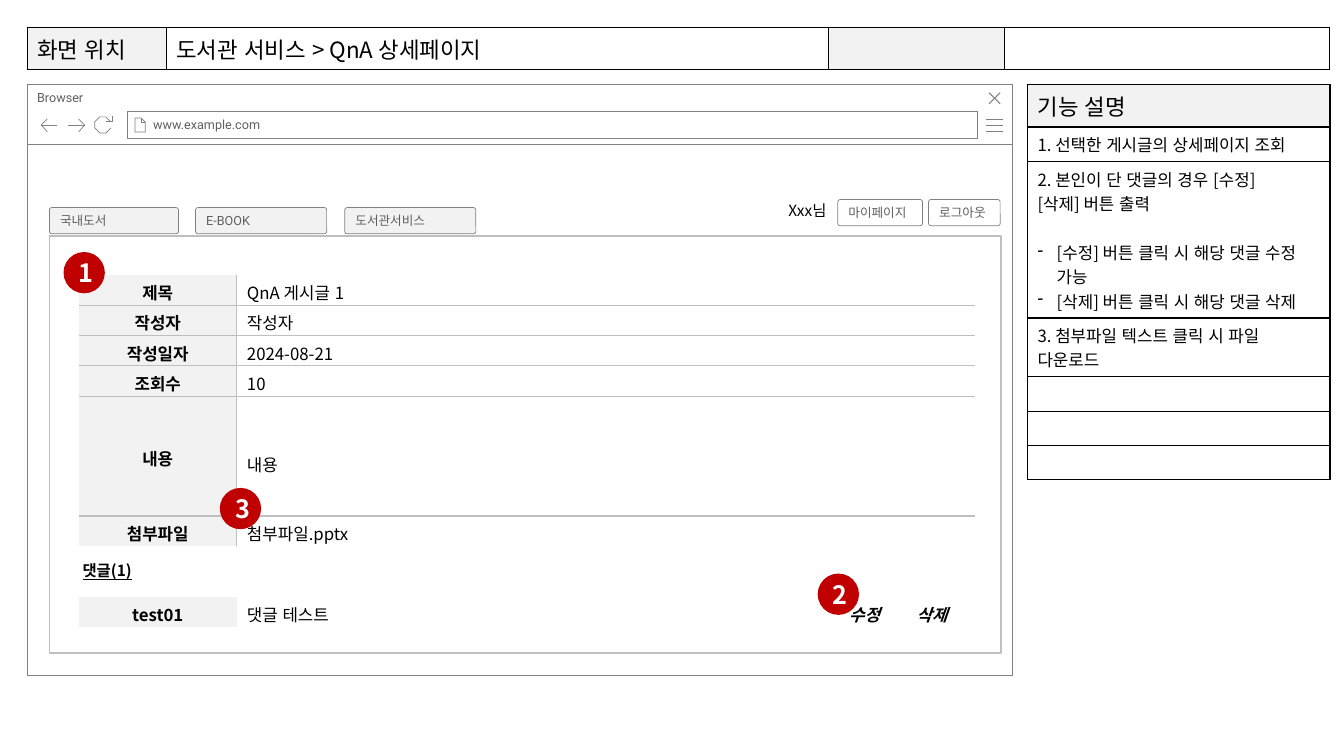
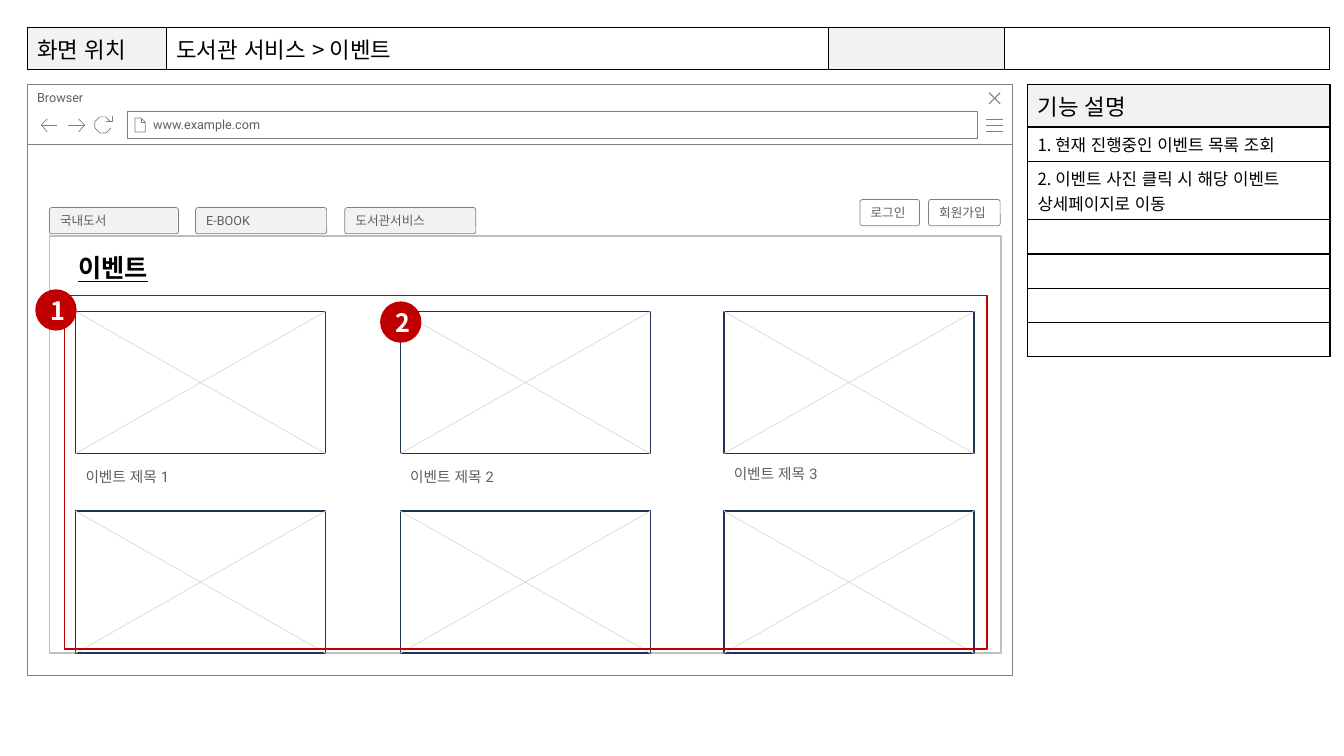
from dataclasses import dataclass, field
from math import cos, radians, sin

from lxml.etree import SubElement
from pptx import Presentation
from pptx.dml.color import RGBColor
from pptx.enum.lang import MSO_LANGUAGE_ID
from pptx.enum.shapes import MSO_CONNECTOR, MSO_SHAPE
from pptx.enum.text import MSO_ANCHOR, PP_ALIGN
from pptx.oxml.ns import qn
from pptx.util import Emu, Pt

SCALE = 9144  # EMU in one px


@dataclass(frozen=True)
class Theme:
    white: str = "FFFFFF"
    black: str = "000000"
    pale: str = "F2F2F2"
    chrome: str = "808080"
    label: str = "5F5F5F"
    border: str = "BFBFBF"
    cross: str = "D9D9D9"
    navy: str = "1E3256"
    red: str = "C00000"
    korean: str = "Noto Sans CJK KR"
    latin: str = "Roboto"
    text: dict = field(default_factory=lambda: {
        "heading": dict(size=16),
        "body": dict(size=12),
        "strong": dict(size=12, bold=True),
        "action": dict(size=12, bold=True, italic=True),
        "note": dict(size=11),
        "count": dict(size=11, bold=True, underline=True),
        "title": dict(size=18, bold=True, underline=True),
        "badge": dict(size=18, bold=True, color="FFFFFF"),
        "ui": dict(size=9, color="5F5F5F", name="Roboto"),
        "caption": dict(size=10.5, color="5F5F5F", name="Roboto"),
    })


THEME = Theme()


def px(*lengths):
    return [Emu(length * SCALE) for length in lengths]


def rgb(value):
    return RGBColor.from_string(value)


# Text

def write(frame, text, style, align=PP_ALIGN.LEFT, spacing=None):
    """Fill a frame, one paragraph a line; a leading "- " makes a bullet."""
    look = {"name": THEME.korean, "color": THEME.black, **THEME.text[style]}
    formats = {key: value for key, value in look.items() if key != "color"}
    formats.update(size=Pt(look["size"]), language_id=MSO_LANGUAGE_ID.KOREAN)
    bulleted = False
    for number, line in enumerate(text.split("\n")):
        para = frame.add_paragraph() if number else frame.paragraphs[0]
        para.alignment = align
        para.text = line.removeprefix("- ")
        if spacing:
            para.line_spacing = spacing
        if line.startswith("- "):
            props = para._p.get_or_add_pPr()
            props.set("marL", str(19 * SCALE))
            props.set("indent", str(-19 * SCALE))
            SubElement(props, qn("a:buChar"), char="-")
            if not bulleted:
                para.space_before = Pt(17.5)
            bulleted = True
        for span in para.runs:
            for name, value in formats.items():
                setattr(span.font, name, value)
            span.font.color.rgb = rgb(look["color"])
            SubElement(span._r.get_or_add_rPr(), qn("a:ea"), typeface=THEME.korean)
        if not line:
            SubElement(para._p, qn("a:endParaRPr"), sz=str(look["size"] * 100))


def add_text(page, box, text, style, wrap=True):
    frame = page.shapes.add_textbox(*px(*box)).text_frame
    frame.word_wrap = wrap
    write(frame, text, style, spacing=0.85)


# Shapes

def paint(shape, fill=None, line=None, weight=0.5):
    shape.shadow.inherit = False
    if fill:
        shape.fill.solid()
        shape.fill.fore_color.rgb = rgb(fill)
    else:
        shape.fill.background()
    if line:
        shape.line.color.rgb = rgb(line)
        shape.line.width = Pt(weight)
    else:
        shape.line.fill.background()


def add_box(page, box, fill=None, line=None, weight=0.5, kind=MSO_SHAPE.RECTANGLE):
    shape = page.shapes.add_shape(kind, *px(*box))
    paint(shape, fill, line, weight)
    return shape


def add_label(shape, text, style, anchor=MSO_ANCHOR.MIDDLE, align=PP_ALIGN.LEFT, **margins):
    frame = shape.text_frame
    frame.word_wrap = True
    frame.vertical_anchor = anchor
    for side, margin in margins.items():
        setattr(frame, f"margin_{side}", Emu(margin * SCALE))
    write(frame, text, style, align)


def add_icon(page, origin, strokes, weight=0.5):
    """Draw open strokes whose points are relative to the origin."""
    left, top = origin
    strokes = [[(left + x, top + y) for x, y in stroke] for stroke in strokes]
    pen = page.shapes.build_freeform(*strokes[0][0], scale=SCALE)
    for number, stroke in enumerate(strokes):
        if number:
            pen.move_to(*stroke[0])
        pen.add_line_segments(stroke[1:], close=False)
    paint(pen.convert_to_shape(), line=THEME.chrome, weight=weight)


def add_line(page, start, end, color):
    line = page.shapes.add_connector(MSO_CONNECTOR.STRAIGHT, *px(*start, *end))
    line.line.color.rgb = rgb(color)
    line.line.width = Pt(0.5)
    SubElement(line._element.spPr, qn("a:effectLst"))


def add_badge(page, left, top, number):
    badge = add_box(page, (left, top, 41, 41), THEME.red, kind=MSO_SHAPE.OVAL)
    add_label(badge, str(number), "badge", align=PP_ALIGN.CENTER,
              left=4, right=0, top=0, bottom=0)


# Tables

def set_borders(cell, colors):
    """Give the left, right, top and bottom border a colour or none."""
    props = cell._tc.get_or_add_tcPr()
    for side, color in zip("LRTB", colors):
        border = SubElement(props, qn(f"a:ln{side}"), w=str(Pt(1)))
        if color:
            solid = SubElement(border, qn("a:solidFill"))
            SubElement(solid, qn("a:srgbClr"), val=color)
        else:
            SubElement(border, qn("a:noFill"))


def add_grid(page, origin, widths, heights, rows, outer=None, inner=None, compact=False):
    """Add a table; each cell is (text, style, fill)."""
    size = sum(widths), sum(heights)
    table = page.shapes.add_table(len(rows), len(widths), *px(*origin, *size)).table
    table.first_row = table.horz_banding = False
    for column, width in zip(table.columns, px(*widths)):
        column.width = width
    for row, height in zip(table.rows, px(*heights)):
        row.height = height
    last_row, last_column = len(rows) - 1, len(widths) - 1
    for r, row in enumerate(rows):
        for c, (text, style, fill) in enumerate(row):
            cell = table.cell(r, c)
            edges = (c == 0, c == last_column, r == 0, r == last_row)
            set_borders(cell, [outer if edge else inner for edge in edges])
            if fill:
                cell.fill.solid()
                cell.fill.fore_color.rgb = rgb(fill)
            else:
                cell.fill.background()
            if compact:
                cell.vertical_anchor = MSO_ANCHOR.MIDDLE
                cell.margin_top, cell.margin_bottom = px(5, 1)
            centred = compact and fill
            write(cell.text_frame, text, style,
                  PP_ALIGN.CENTER if centred else PP_ALIGN.LEFT)
    return table


# Regions shared by every page

def add_location(page, origin, place):
    cells = [("화면 위치", "heading", THEME.pale), (place, "heading", None),
             ("", "heading", THEME.pale), ("", "heading", None)]
    add_grid(page, origin, (138, 657, 174, 323), (42,), [cells], THEME.black, THEME.black)


def add_functions(page, origin, notes):
    """List (text, line count) notes under a heading, padded to six rows."""
    notes = notes + [("", 1)] * (6 - len(notes))
    rows = [[("기능 설명", "heading", THEME.pale)]]
    rows += [[(text, "body", None)] for text, _ in notes]
    heights = [42] + [10 + 24 * lines + lines // 6 for _, lines in notes]
    add_grid(page, origin, (300,), heights, rows, THEME.black, THEME.black)


def add_browser(page, box):
    left, top, width, height = box
    bar = 59
    right = left + width
    add_box(page, (left, top + bar, width, height - bar), THEME.white, THEME.chrome)
    header = add_box(page, (left, top, width, bar), THEME.white, THEME.chrome)
    add_label(header, "Browser", "ui", MSO_ANCHOR.TOP, left=10, right=25)
    address = add_box(page, (left + 99, top + 27, 843, 26), THEME.white, THEME.chrome)
    add_label(address, "www.example.com", "ui", left=26)
    # Menu, close, file, back, forward and reload
    add_icon(page, (right - 26, top + 34), [[(0, y), (17, y)] for y in (0, 6, 12)])
    add_icon(page, (right - 23, top + 8), [[(11, 0), (0, 11)], [(0, 0), (11, 11)]], 0.75)
    add_icon(page, (left + 107, top + 33),
             [[(6, 0), (6, 4), (10, 4)],
              [(0, 0), (0, 14), (10, 14), (10, 4), (6, 0), (0, 0)]])
    add_icon(page, (left + 14, top + 34), [[(6, 13), (0, 6), (6, 0)], [(0, 6), (16, 6)]])
    add_icon(page, (left + 40, top + 34), [[(11, 0), (17, 6), (11, 13)], [(17, 6), (0, 6)]])
    arc = [(8 + 8 * cos(radians(a)), 9 + 8 * sin(radians(a))) for a in range(20, 331, 10)]
    add_icon(page, (left + 67, top + 31), [[(17, 0), (17, 5), (11, 5)], arc])


def add_button(page, box, text, fill):
    button = add_box(page, box, fill, THEME.chrome, kind=MSO_SHAPE.ROUNDED_RECTANGLE)
    button.adjustments[0] = 0.09
    add_label(button, text, "ui")


def add_site(page, box, account):
    """Draw tabs and account buttons above the content frame."""
    left, top, _, _ = box
    tabs = ((0, 128, "국내도서"), (145, 130, "E-BOOK"), (293, 130, "도서관서비스"))
    for offset, width, text in tabs:
        add_button(page, (left + offset, top - 28, width, 26), text, THEME.pale)
    for offset, width, text in account:
        add_button(page, (left + offset, top - 36, width, 26), text, THEME.white)
    add_box(page, box, line=THEME.border, weight=1)


def add_page(deck, place, notes, account):
    page = deck.slides.add_slide(deck.slide_layouts[6])
    content = (49, 234, 944, 414)
    add_browser(page, (27, 84, 977, 586))
    add_functions(page, (1019, 84), notes)
    add_location(page, (27, 27), place)
    add_site(page, content, account)
    return page, content


# Page contents

def add_post(page, box):
    left, top, _, _ = box
    add_text(page, (left + 723, top - 37, 59, 29), "Xxx님", "note")
    # Post fields
    fields = (("제목", "QnA 게시글 1"), ("작성자", "작성자"), ("작성일자", "2024-08-21"),
              ("조회수", "10"), ("내용", "내용"), ("첨부파일", "첨부파일.pptx"))
    rows = [[(name, "strong", THEME.pale), (value, "body", None)] for name, value in fields]
    table = add_grid(page, (left + 29, top + 39), (157, 732), (30, 30, 30, 30, 119, 30),
                     rows, inner=THEME.border, compact=True)
    table.cell(4, 1).margin_top = Emu(17 * SCALE)
    # Comments
    comment = [("test01", "strong", THEME.pale), ("댓글 테스트", "body", None),
               ("수정", "action", None), ("삭제", "action", None)]
    add_grid(page, (left + 29, top + 358), (157, 597, 67, 68), (30,), [comment], compact=True)
    add_text(page, (left + 23, top + 321, 71, 29), "댓글(1)", "count")
    for number, (x, y) in enumerate(((14, 16), (762, 335), (169, 250)), 1):
        add_badge(page, left + x, top + y, number)


def add_placeholder(page, box):
    left, top, width, height = box
    right, bottom = left + width, top + height
    add_box(page, box, line=THEME.navy, weight=1)
    add_line(page, (left, top), (right, bottom), THEME.cross)
    add_line(page, (right, top), (left, bottom), THEME.cross)


def add_events(page, box):
    left, top, _, _ = box
    add_text(page, (left + 19, top + 16, 96, 40), "이벤트", "title", wrap=False)
    # Event cards
    for number, (x, caption_top) in enumerate(((26, 228), (348, 228), (669, 225)), 1):
        for y in (75, 273):
            add_placeholder(page, (left + x, top + y, 248, 141))
        add_text(page, (left + x, top + caption_top, 248, 28), f"이벤트 제목 {number}", "caption")
    add_badge(page, left - 14, top + 53, 1)
    add_badge(page, left + 328, top + 65, 2)
    add_box(page, (left + 15, top + 59, 915, 351), line=THEME.red, weight=1)


def main():
    deck = Presentation()
    deck.slide_width, deck.slide_height = px(1333, 750)
    page, content = add_page(
        deck, "도서관 서비스 > QnA 상세페이지",
        [("1. 선택한 게시글의 상세페이지 조회", 1),
         ("2. 본인이 단 댓글의 경우 [수정]\v[삭제] 버튼 출력\n"
          "- [수정] 버튼 클릭 시 해당 댓글 수정 가능\n- [삭제] 버튼 클릭 시 해당 댓글 삭제", 6),
         ("3. 첨부파일 텍스트 클릭 시 파일 다운로드", 2)],
        ((782, 84, "마이페이지"), (872, 71, "로그아웃")))
    add_post(page, content)
    page, content = add_page(
        deck, "도서관 서비스 > 이벤트",
        [("1. 현재 진행중인 이벤트 목록 조회", 1),
         ("2. 이벤트 사진 클릭 시 해당 이벤트 상세페이지로 이동", 2)],
        ((804, 59, "로그인"), (872, 71, "회원가입")))
    add_events(page, content)
    deck.save("out.pptx")


if __name__ == "__main__":
    main()
